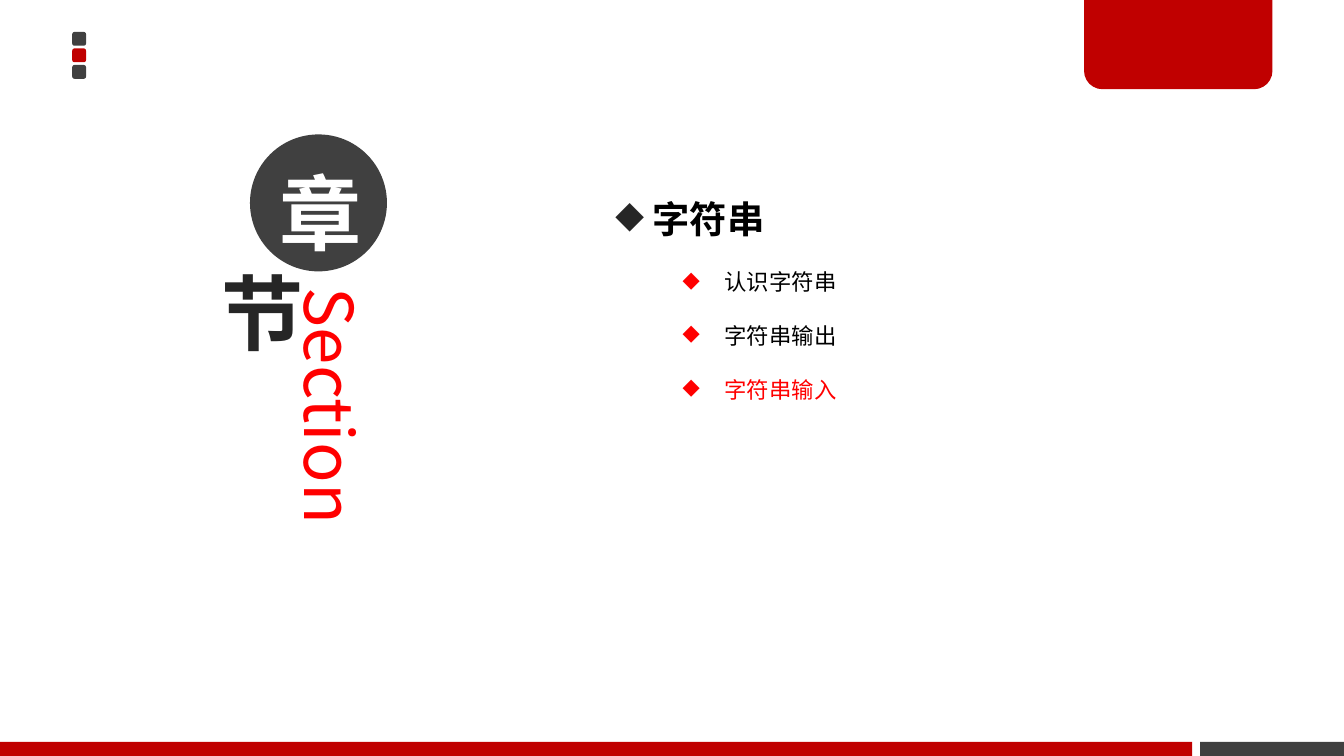
from lxml import etree
from pptx import Presentation
from pptx import util as u
from pptx.dml.color import RGBColor
from pptx.enum import shapes, text
from pptx.oxml.ns import qn

FONT = "Noto Sans CJK SC"
RED, BRIGHT, GREY, DARK = "C00000", "FF0000", "404040", "262626"
WHITE, BLACK = "FFFFFF", "000000"
MSO = shapes.MSO_SHAPE


def rgb(value):
    return RGBColor.from_string(value)


def add_shape(s, kind, x, y, w, h, fill=None):
    sp = s.shapes.add_shape(kind, u.Pt(x), u.Pt(y), u.Pt(w), u.Pt(h))
    sp.shadow.inherit = False
    sp.line.fill.background()
    if fill:
        sp.fill.solid()
        sp.fill.fore_color.rgb = rgb(fill)
    else:
        sp.fill.background()
    return sp


def add_textbox(s, x, y, w, h):
    sp = s.shapes.add_textbox(u.Pt(x), u.Pt(y), u.Pt(w), u.Pt(h))
    sp.text_frame.word_wrap = True
    return sp


def set_insets(tf, bottom=3):
    tf.margin_left = tf.margin_right = u.Pt(5)
    tf.margin_top, tf.margin_bottom = u.Pt(3), u.Pt(bottom)


def add_run(p, content, size, color, bold=False):
    r = p.add_run()
    r.text = content
    r.font.size = u.Pt(size)
    r.font.bold = bold
    r.font.color.rgb = rgb(color)
    r.font.name = FONT
    etree.SubElement(r.font._element, qn("a:ea"), typeface=FONT)


def add_bullet(p, color, margin, hanging):
    pPr = p._p.get_or_add_pPr()
    pPr.set("marL", str(u.Pt(margin)))
    pPr.set("indent", str(-u.Pt(hanging)))
    clr = etree.SubElement(pPr, qn("a:buClr"))
    etree.SubElement(clr, qn("a:srgbClr"), val=color)
    etree.SubElement(pPr, qn("a:buChar"), char="◆")


def add_glyph(s, content, x, y, size, color, fill=None, bottom=3, spacing=None):
    sp = add_shape(s, MSO.OVAL, x, y, size, size, fill)
    tf = sp.text_frame
    tf.word_wrap = True
    tf.vertical_anchor = text.MSO_ANCHOR.MIDDLE
    set_insets(tf, bottom)
    p = tf.paragraphs[0]
    p.alignment = text.PP_ALIGN.CENTER
    if spacing:
        p.line_spacing = u.Pt(spacing)
    add_run(p, content, 44, color, True)


def add_decoration(s):
    for i, color in enumerate((GREY, RED, GREY)):
        add_shape(s, MSO.ROUNDED_RECTANGLE, 38.7, 17.1 + 8.85 * i, 7.4, 7.4, color)
    add_shape(s, MSO.RECTANGLE, 643, 397.5, 77, 7.5, GREY)
    tab = add_shape(s, MSO.ROUND_2_SAME_RECTANGLE, 580.8, -1.5, 100.9, 49.3, RED)
    tab.adjustments[0] = 0
    tab.adjustments[1] = 0.2
    add_shape(s, MSO.RECTANGLE, 0, 397.5, 638.7, 7.5, RED)


def add_vertical_title(s, content):
    sp = add_textbox(s, 154, 151.2, 50.4, 208)
    set_insets(sp.text_frame)
    sp.element.txBody.bodyPr.set("vert", "vert")
    add_run(sp.text_frame.paragraphs[0], content, 36, BRIGHT)


def add_outline(s, heading, items):
    tf = add_textbox(s, 322.6, 77.8, 280, 172).text_frame
    p = tf.paragraphs[0]
    p.line_spacing = 2.0
    add_bullet(p, DARK, 13.5, 13.5)
    add_run(p, heading, 20, BLACK, True)
    for content, color in items:
        p = tf.add_paragraph()
        p.level = 1
        p.line_spacing = 2.0
        add_bullet(p, BRIGHT, 58.5, 22.5)
        add_run(p, content, 12, color)


def main():
    prs = Presentation()
    prs.slide_width, prs.slide_height = u.Pt(720), u.Pt(405)
    s = prs.slides.add_slide(prs.slide_layouts[6])
    add_decoration(s)
    add_vertical_title(s, "Section")
    add_glyph(s, "章", 133.9, 72, 73.4, WHITE, GREY, bottom=10.8, spacing=70)
    add_glyph(s, "节", 105.1, 138.2, 57.6, DARK)
    add_outline(s, " 字符串", [
        ("认识字符串", BLACK),
        ("字符串输出", BLACK),
        ("字符串输入", BRIGHT),
    ])
    prs.save("out.pptx")


if __name__ == "__main__":
    main()
